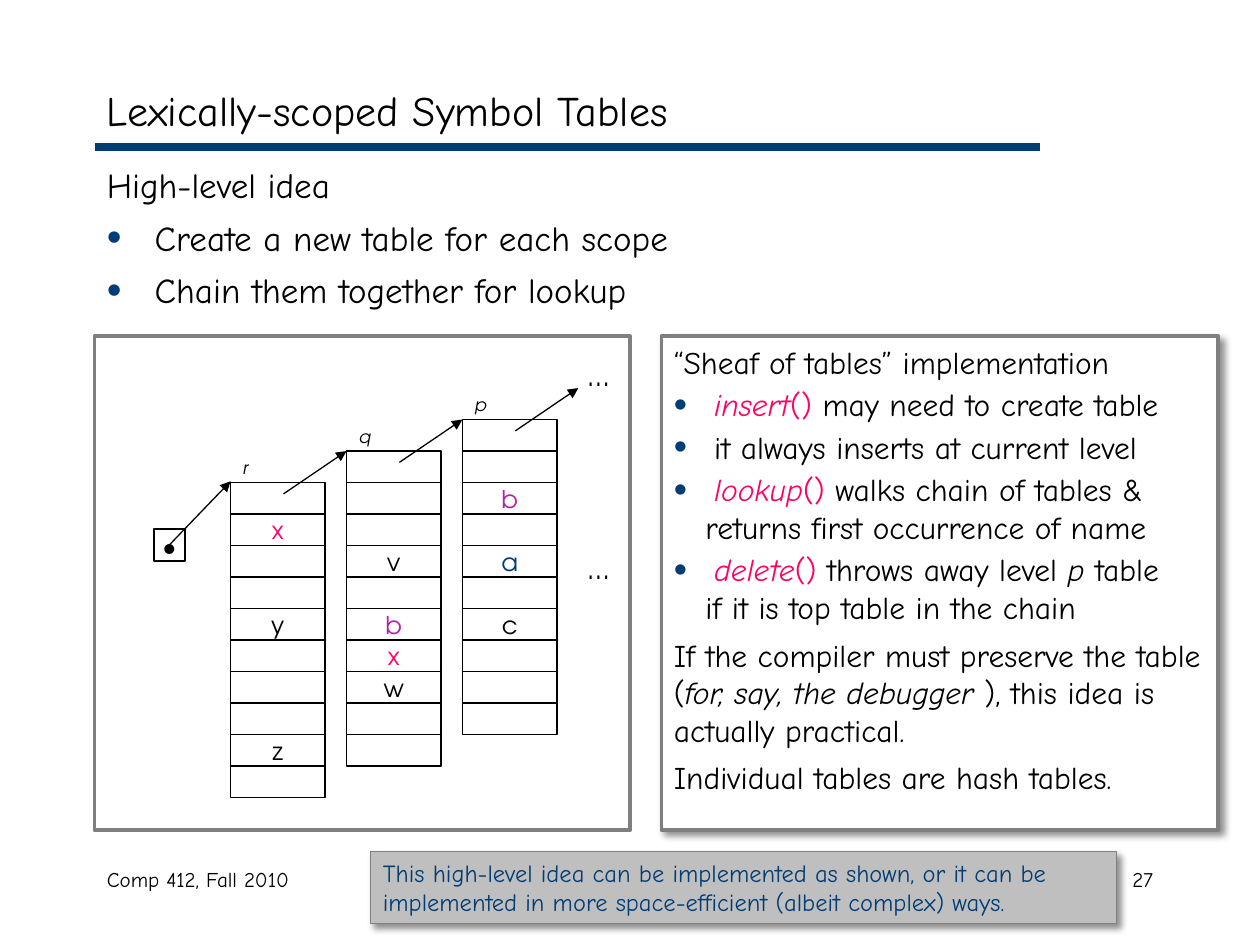
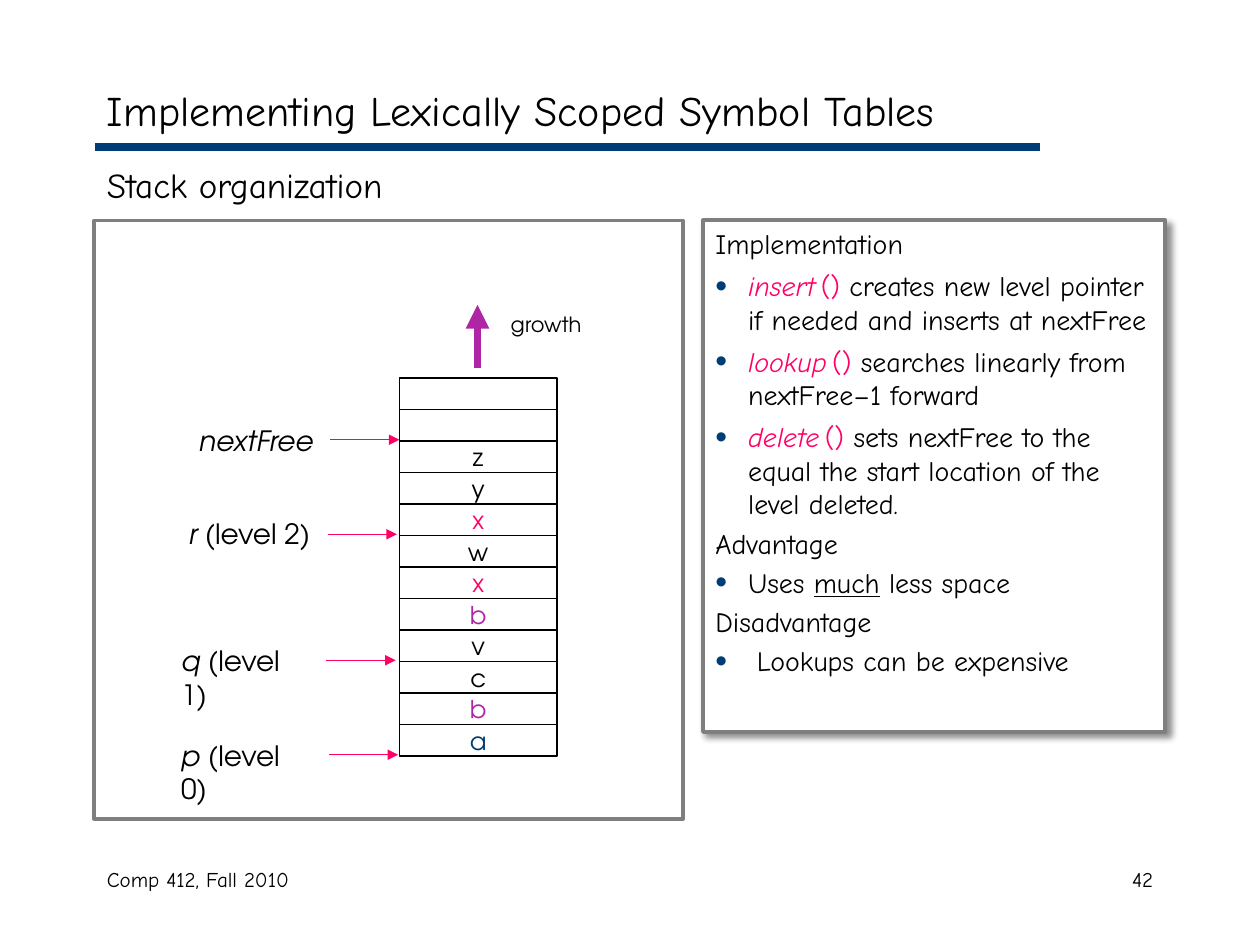
from dataclasses import dataclass
from typing import NamedTuple

from lxml.etree import SubElement
from pptx import Presentation
from pptx.dml.color import RGBColor
from pptx.enum.shapes import MSO_CONNECTOR, MSO_SHAPE
from pptx.enum.text import MSO_ANCHOR, PP_ALIGN
from pptx.oxml.ns import qn
from pptx.util import Inches, Pt

BLACK, WHITE, NAVY = "000000", "FFFFFF", "003C75"
PINK, PURPLE = "FF0065", "B025A6"
FRAME, NOTE_FILL, NOTE_LINE = "7F7F7F", "BFBFBF", "808080"
BODY_FONT, DIAGRAM_FONT = "Comic Neue", "TeX Gyre Adventor"
ROW_HEIGHT = 0.25
NAME_COLORS = {"a": NAVY, "b": PURPLE, "x": PINK}


class Box(NamedTuple):
    left: float
    top: float
    width: float
    height: float


class Run(NamedTuple):
    text: str
    color: str | None = None
    italic: bool = False
    underline: bool = False
    size: float | None = None


@dataclass
class Para:
    runs: list[Run]
    before: float = 0
    indent: float = 0
    hanging: bool = False
    bullet: bool = False


@dataclass
class Style:
    size: float
    font: str = BODY_FONT
    color: str = BLACK
    align: PP_ALIGN = PP_ALIGN.LEFT
    anchor: MSO_ANCHOR = MSO_ANCHOR.TOP


class ScopeTable(NamedTuple):
    name: str
    left: float
    top: float
    rows: str


class Pointer(NamedTuple):
    """A label beside the stack and the arrow from it."""
    box: Box
    runs: list[Run]
    arrow_left: float
    arrow_y: float


def rgb(hex_color: str) -> RGBColor:
    return RGBColor.from_string(hex_color)


def line(text: str, before: float = 0, indent: float = 0) -> Para:
    return Para([Run(text)], before, indent)


def bullet(indent: float, before: float, *runs: Run) -> Para:
    return Para(list(runs), before, indent, True, True)


def write(sp, paras: list[Para], style: Style, wrap: bool = True) -> None:
    tf = sp.text_frame
    tf.word_wrap = wrap
    tf.vertical_anchor = style.anchor
    for i, para in enumerate(paras):
        p = tf.add_paragraph() if i else tf.paragraphs[0]
        p.alignment = style.align
        if para.before:
            p.space_before = Pt(para.before)
        pPr = p._p.get_or_add_pPr()
        pPr.set("marL", str(Inches(para.indent)))
        pPr.set("indent", str(-Inches(para.indent) if para.hanging else 0))
        if para.bullet:
            bu_color = SubElement(pPr, qn("a:buClr"))
            SubElement(bu_color, qn("a:srgbClr"), val=NAVY)
            SubElement(pPr, qn("a:buSzPct"), val="120000")
            SubElement(pPr, qn("a:buFont"), typeface="Arial")
            SubElement(pPr, qn("a:buChar"), char="•")
        for run in para.runs:
            r = p.add_run()
            r.text = run.text
            r.font.name = style.font
            r.font.size = Pt(run.size or style.size)
            r.font.color.rgb = rgb(run.color or style.color)
            r.font.italic = run.italic
            r.font.underline = run.underline


def add_text(s, box: Box, paras: list[Para], style: Style) -> None:
    write(s.shapes.add_textbox(*map(Inches, box)), paras, style)


def add_rect(s, box: Box, border: str = BLACK, weight: float = 0.75,
             fill: str | None = None, shadow: bool = False):
    sp = s.shapes.add_shape(MSO_SHAPE.RECTANGLE, *map(Inches, box))
    sp.shadow.inherit = False
    if fill:
        sp.fill.solid()
        sp.fill.fore_color.rgb = rgb(fill)
    else:
        sp.fill.background()
    sp.line.color.rgb = rgb(border)
    sp.line.width = Pt(weight)
    if shadow:
        effects = sp._element.spPr.find(qn("a:effectLst"))
        outer = SubElement(effects, qn("a:outerShdw"), blurRad=str(Pt(4)), dist=str(Pt(3)),
                           dir="2700000", algn="tl", rotWithShape="0")
        tint = SubElement(outer, qn("a:srgbClr"), val=BLACK)
        SubElement(tint, qn("a:alpha"), val="43000")
    return sp


def add_panel(s, box: Box, shadow: bool = False):
    return add_rect(s, box, FRAME, 2.25, WHITE, shadow)


def add_line(s, x1: float, y1: float, x2: float, y2: float, color: str = BLACK,
             weight: float = 0.75, arrow: bool = True) -> None:
    ends = map(Inches, (x1, y1, x2, y2))
    sp = s.shapes.add_connector(MSO_CONNECTOR.STRAIGHT, *ends)
    sp.line.color.rgb = rgb(color)
    sp.line.width = Pt(weight)
    if arrow:
        SubElement(sp.line._get_or_add_ln(), qn("a:tailEnd"), type="triangle")
    SubElement(sp._element.spPr, qn("a:effectLst"))


def add_cells(s, left: float, top: float, width: float, rows: str,
              weight: float = 0.75) -> None:
    """Stack one cell per character of rows; a dash is an empty cell."""
    for i, name in enumerate(rows):
        sp = add_rect(s, Box(left, top + i * ROW_HEIGHT, width, ROW_HEIGHT), weight=weight)
        if name != "-":
            style = Style(14, DIAGRAM_FONT, NAME_COLORS.get(name, BLACK),
                          PP_ALIGN.CENTER, MSO_ANCHOR.MIDDLE)
            write(sp, [line(name)], style, wrap=False)


def add_base_slide(prs, title: str, number: int, body: list[Para]):
    s = prs.slides.add_slide(prs.slide_layouts[6])
    add_line(s, 0.75, 1.17, 8.25, 1.17, NAVY, 4.5, arrow=False)
    add_text(s, Box(0.75, 6.83, 3.17, 0.5), [line("Comp 412, Fall 2010")], Style(12))
    add_text(s, Box(7.17, 6.83, 2.08, 0.5), [line(str(number))],
             Style(12, align=PP_ALIGN.RIGHT))
    add_text(s, Box(0.75, 0.58, 8.5, 0.58), [line(title)],
             Style(24, anchor=MSO_ANCHOR.MIDDLE))
    add_text(s, Box(0.75, 1.25, 8.5, 5.42), body, Style(20))
    return s


def add_sheaf_diagram(s) -> None:
    add_panel(s, Box(0.75, 2.67, 4.25, 3.92))
    label = Style(10, DIAGRAM_FONT)
    dots = Style(16, DIAGRAM_FONT, align=PP_ALIGN.CENTER)
    tables = [
        ScopeTable("r", 1.83, 3.83, "-x--y---z-"),
        ScopeTable("q", 2.75, 3.58, "---v-bxw--"),
        ScopeTable("p", 3.67, 3.33, "--b-a-c---"),
    ]
    for table in tables:
        add_cells(s, table.left, table.top, 0.75, table.rows)
        add_text(s, Box(table.left, table.top - 0.25, 0.58, 0.27),
                 [Para([Run(table.name, italic=True)])], label)
        add_line(s, table.left + 0.42, table.top + 0.09, table.left + 0.92, table.top - 0.25)
    start = add_rect(s, Box(1.22, 4.2, 0.25, 0.25), weight=1)
    write(start, [line("•")], Style(16, DIAGRAM_FONT, align=PP_ALIGN.CENTER,
                                    anchor=MSO_ANCHOR.MIDDLE), wrap=False)
    add_line(s, 1.33, 4.34, 1.83, 3.82)
    for top in (2.8, 4.33):
        add_text(s, Box(4.5, top, 0.5, 0.37), [line("...")], dots)


def build_sheaf_slide(prs) -> None:
    s = add_base_slide(prs, "Lexically-scoped Symbol Tables", 27, [
        line("High-level idea"),
        bullet(0.38, 6, Run("Create a new table for each scope")),
        bullet(0.38, 6, Run("Chain them together for lookup")),
    ])
    notes = add_panel(s, Box(5.25, 2.67, 4.42, 3.92), shadow=True)

    def call(name: str, *rest: Run) -> Para:
        return bullet(0.32, 2.7, Run(name, PINK, True), Run("()", PINK), *rest)

    write(notes, [
        line("“Sheaf of tables” implementation"),
        call("insert", Run(" may need to create table")),
        bullet(0.32, 2.7, Run("it always inserts at current level")),
        call("lookup", Run(" walks chain of tables &")),
        line("returns first occurrence of name", indent=0.25),
        call("delete", Run(" throws away level "), Run("p ", italic=True), Run("table")),
        line("if it is top table in the chain", indent=0.25),
        Para([Run("If the compiler must preserve the table ("),
              Run("for, say, the debugger ", italic=True),
              Run("), this idea is actually practical.")], 5.4),
        line("Individual tables are hash tables.", 5.4),
    ], Style(18))
    add_sheaf_diagram(s)
    remark = add_rect(s, Box(2.94, 6.76, 5.92, 0.57), NOTE_LINE, fill=NOTE_FILL, shadow=True)
    write(remark, [line("This high-level idea can be implemented as shown, or it can be "
                        "implemented in more space-efficient (albeit complex) ways.")],
          Style(14, color=NAVY))


def add_stack_diagram(s) -> None:
    add_panel(s, Box(0.75, 1.75, 4.67, 4.75))
    add_cells(s, 3.17, 3, 1.25, "--zyxwxbvcba", weight=1)
    add_line(s, 3.79, 2.92, 3.79, 2.42, PURPLE, 4.5)
    add_text(s, Box(3.92, 2.42, 0.83, 0.3), [line("growth")],
             Style(12, DIAGRAM_FONT, align=PP_ALIGN.CENTER))

    def level(name: str, number: int) -> list[Run]:
        return [Run(f"{name} ", italic=True), Run(f"(level {number})")]

    pointers = [
        Pointer(Box(1.48, 3.31, 1.16, 0.37), [Run("nextFree", italic=True)], 2.62, 3.49),
        Pointer(Box(1.4, 4.05, 1.26, 0.37), level("r", 2), 2.6, 4.24),
        Pointer(Box(1.34, 5.06, 1.1, 0.37), level("q", 1), 2.59, 5.24),
        Pointer(Box(1.34, 5.81, 1.1, 0.37), level("p", 0), 2.61, 5.99),
    ]
    for pointer in pointers:
        add_text(s, pointer.box, [Para(pointer.runs)], Style(16, DIAGRAM_FONT))
        add_line(s, pointer.arrow_left, pointer.arrow_y,
                 pointer.arrow_left + 0.55, pointer.arrow_y, PINK)


def build_stack_slide(prs) -> None:
    s = add_base_slide(prs, "Implementing Lexically Scoped Symbol Tables", 42,
                       [line("Stack organization")])
    notes = add_panel(s, Box(5.58, 1.75, 3.67, 4.06), shadow=True)

    def call(name: str, effect: str) -> Para:
        return bullet(0.26, 4.8, Run(name, PINK, True), Run(" ", size=9),
                      Run("()", PINK), Run(f" {effect}"))

    write(notes, [
        line("Implementation"),
        call("insert", "creates new level pointer if needed and inserts at nextFree"),
        call("lookup", "searches linearly from nextFree–1 forward"),
        call("delete", "sets nextFree to the equal the start location of the level deleted."),
        line("Advantage", 3.2),
        bullet(0.26, 3.2, Run("Uses "), Run("much", underline=True), Run(" less space")),
        line("Disadvantage", 3.2),
        bullet(0.33, 3.2, Run("Lookups can be expensive")),
    ], Style(16))
    add_stack_diagram(s)


def main() -> None:
    prs = Presentation()
    prs.slide_width, prs.slide_height = Inches(10), Inches(7.5)
    build_sheaf_slide(prs)
    build_stack_slide(prs)
    prs.save("out.pptx")


if __name__ == "__main__":
    main()
